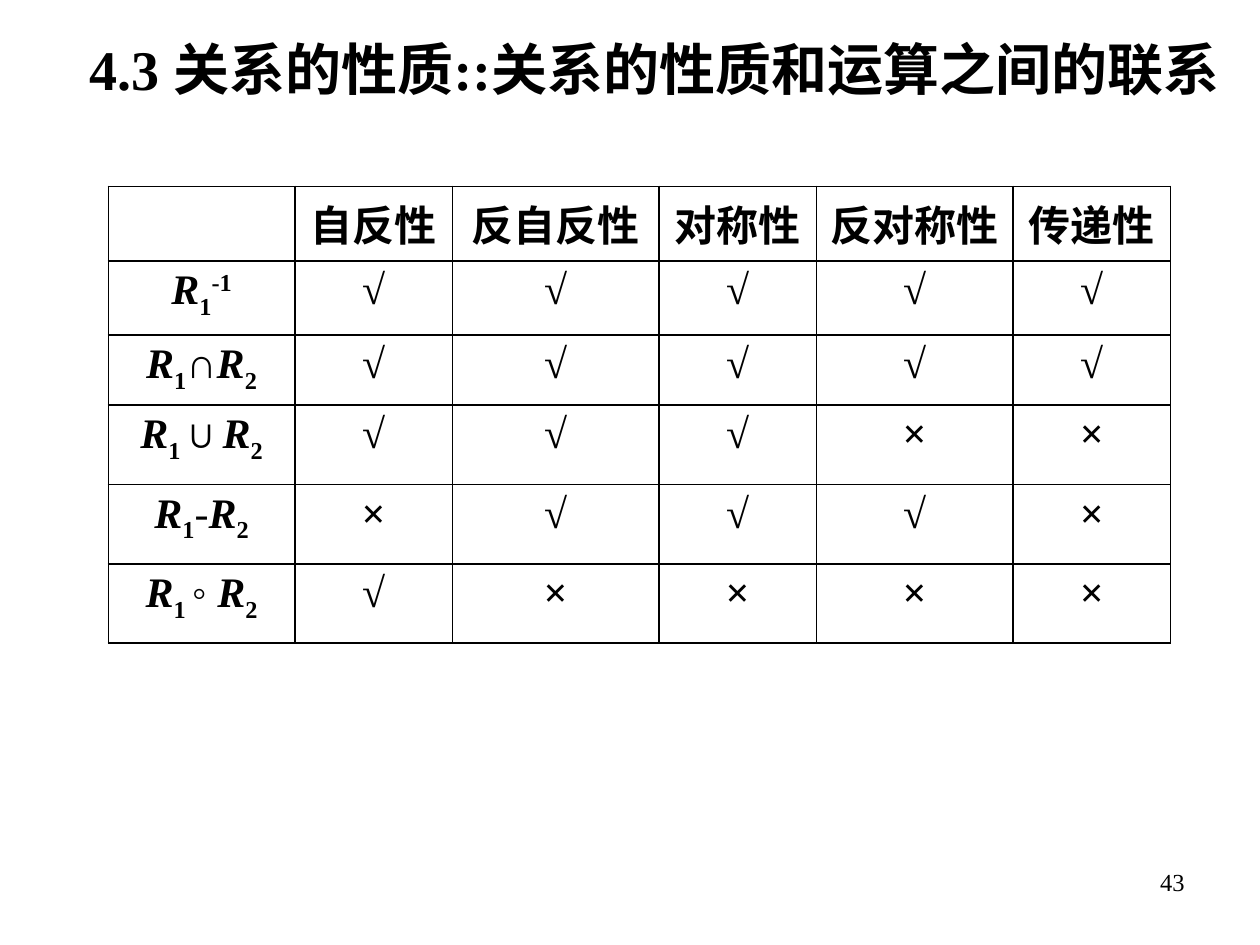
import pptx
import pptx.dml.color
import pptx.enum.text
import pptx.oxml
import pptx.oxml.ns
import pptx.util
from pptx.util import Inches

BLACK = pptx.dml.color.RGBColor(0, 0, 0)
WHITE = pptx.dml.color.RGBColor(255, 255, 255)
FONT = "Times New Roman"
ALIGN = pptx.enum.text.PP_ALIGN
ANCHOR = pptx.enum.text.MSO_ANCHOR
SUBSCRIPT = -25000
SUPERSCRIPT = 30000

COLUMN_WIDTHS = [1.48, 1.25, 1.64, 1.25, 1.56, 1.25]
ROW_HEIGHTS = [0.59, 0.59, 0.55, 0.63, 0.63, 0.63]
PROPERTIES = ["自反性", "反自反性", "对称性", "反对称性", "传递性"]

RELATION = ("R", True, True, 0)
FIRST = [RELATION, ("1", True, False, SUBSCRIPT)]
SECOND = [RELATION, ("2", True, False, SUBSCRIPT)]


def combine(operator):
    return FIRST + [(operator, False, False, 0)] + SECOND


OPERATIONS = [
    (FIRST + [("-1", True, False, SUPERSCRIPT)], "√√√√√"),
    (combine("∩"), "√√√√√"),
    (combine("∪"), "√√√××"),
    (combine("-"), "×√√√×"),
    ([RELATION, ("1 ", True, False, SUBSCRIPT), ("◦ ", False, False, 0)] + SECOND, "√××××"),
]


def format_span(span, size, bold=True, italic=False, baseline=0):
    font = span.font
    font.name = FONT
    font.size = pptx.util.Pt(size)
    font.bold = bold
    font.italic = italic
    font.color.rgb = BLACK
    if baseline:
        span._r.get_or_add_rPr().set("baseline", str(baseline))


def place_title(page, left, top, width, height):
    box = page.shapes.title
    box.left, box.top, box.width, box.height = left, top, width, height
    frame = box.text_frame
    frame.text = "4.3 关系的性质::关系的性质和运算之间的联系"
    frame.auto_size = pptx.enum.text.MSO_AUTO_SIZE.NONE
    frame.vertical_anchor = ANCHOR.MIDDLE
    para = frame.paragraphs[0]
    para.alignment = ALIGN.CENTER
    format_span(para.runs[0], 32)


def place_page_number(page, left, top, width, height):
    frame = page.shapes.add_textbox(left, top, width, height).text_frame
    frame.word_wrap = True
    frame.text = "43"
    para = frame.paragraphs[0]
    para.alignment = ALIGN.RIGHT
    format_span(para.runs[0], 14, bold=False)


def style_cell(cell):
    properties = cell._tc.get_or_add_tcPr()
    for side in ("lnL", "lnR", "lnT", "lnB"):
        properties.append(pptx.oxml.parse_xml(
            f'<a:{side} {pptx.oxml.ns.nsdecls("a")} w="12700"><a:solidFill>'
            f'<a:srgbClr val="{BLACK}"/></a:solidFill></a:{side}>'))
    cell.fill.solid()
    cell.fill.fore_color.rgb = WHITE


def write_cell(cell, spans):
    para = cell.text_frame.paragraphs[0]
    para.alignment = ALIGN.CENTER
    for text, bold, italic, baseline in spans:
        span = para.add_run()
        span.text = text
        format_span(span, 24, bold, italic, baseline)


def place_table(page, left, top, width, height):
    table = page.shapes.add_table(
        len(ROW_HEIGHTS), len(COLUMN_WIDTHS), left, top, width, height).table
    table.first_row = False
    table.horz_banding = False
    for column, column_width in zip(table.columns, COLUMN_WIDTHS):
        column.width = Inches(column_width)
    for row, row_height in zip(table.rows, ROW_HEIGHTS):
        row.height = Inches(row_height)
    lines = [([], PROPERTIES)] + OPERATIONS
    for row, (label, values) in zip(table.rows, lines):
        contents = [label] + [[(value, True, False, 0)] for value in values]
        for cell, spans in zip(row.cells, contents):
            style_cell(cell)
            write_cell(cell, spans)


def main():
    deck = pptx.Presentation()
    deck.slide_width, deck.slide_height = Inches(10), Inches(7.5)
    page = deck.slides.add_slide(deck.slide_layouts[5])
    place_title(page, Inches(0.39), Inches(0.31), Inches(9.61), Inches(0.46))
    place_page_number(page, Inches(7.17), Inches(6.83), Inches(2.33), Inches(0.52))
    place_table(page, Inches(0.86), Inches(1.48),
                Inches(sum(COLUMN_WIDTHS)), Inches(sum(ROW_HEIGHTS)))
    deck.save("out.pptx")


if __name__ == "__main__":
    main()
